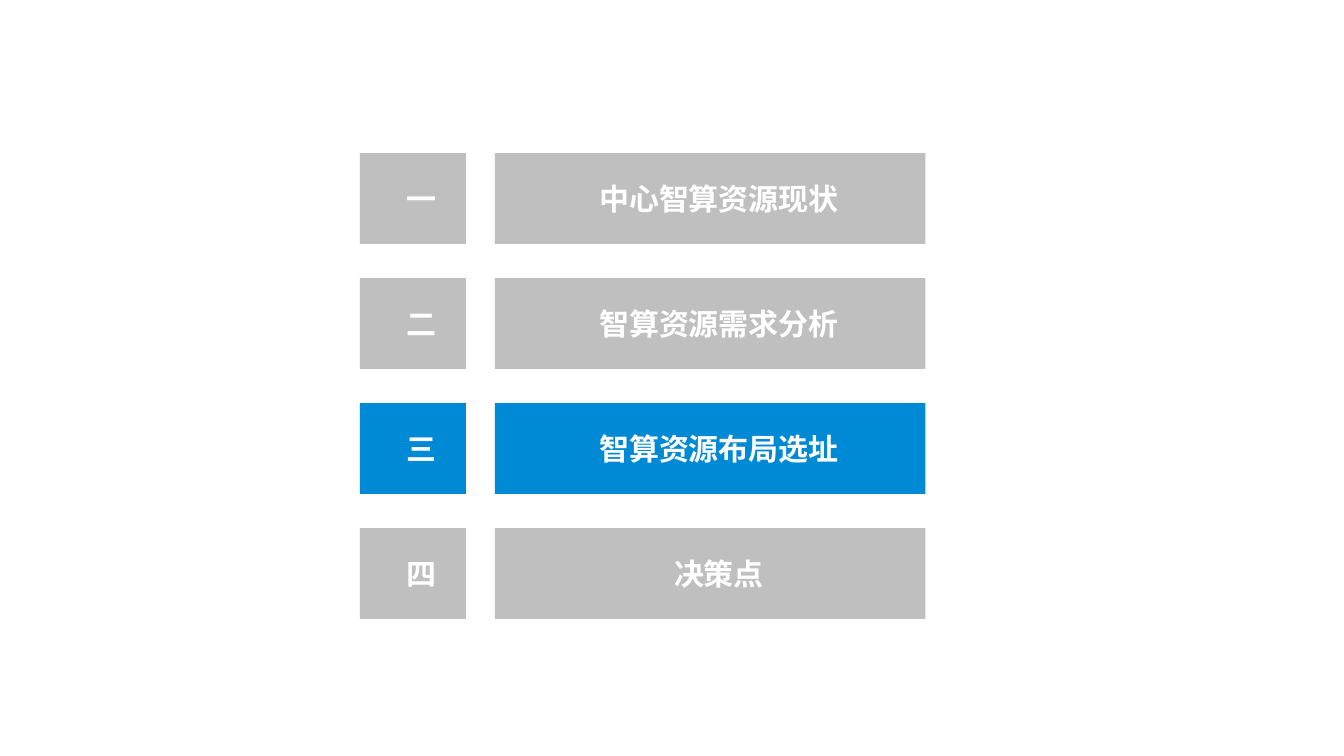
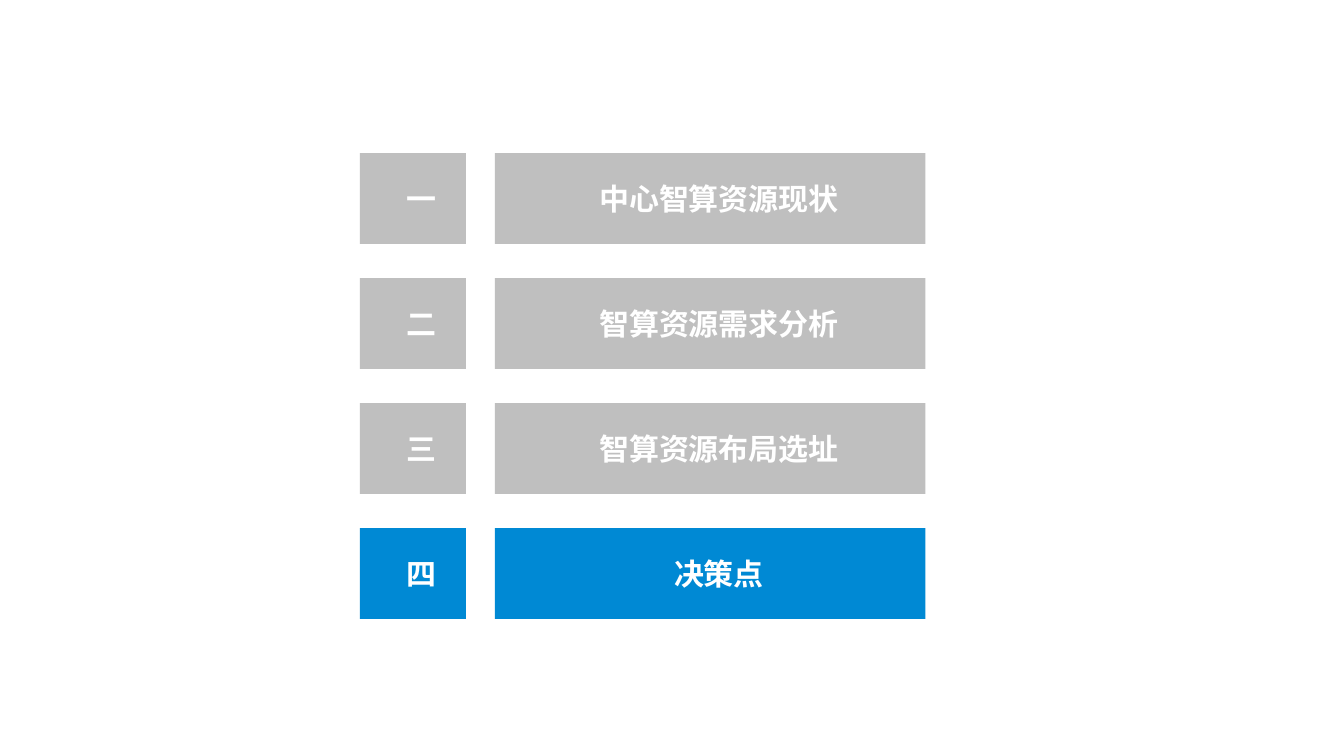
from lxml.etree import SubElement
from pptx import Presentation
from pptx.dml.color import RGBColor
from pptx.enum.shapes import MSO_SHAPE
from pptx.enum.text import MSO_ANCHOR, PP_ALIGN
from pptx.oxml.ns import qn
from pptx.util import Inches, Pt

CHAPTERS = [
    ("一", "中心智算资源现状"),
    ("二", "智算资源需求分析"),
    ("三", "智算资源布局选址"),
    ("四", "决策点"),
]
ACTIVE_CHAPTERS = ["三", "四"]  # one agenda slide for each

COLORS = {"active": "0089D4", "idle": "BFBFBF", "text": "FFFFFF"}
FONT, FONT_SIZE = "Noto Sans CJK SC", 21.4

TOP, ROW_STEP, BOX_HEIGHT = 1.52, 1.24, 0.9
COLUMNS = [(3.57, 1.05), (4.91, 4.27)]  # left and width: number, title


def add_box(s, left, top, width, text, fill):
    box = s.shapes.add_shape(MSO_SHAPE.RECTANGLE, Inches(left), Inches(top),
                             Inches(width), Inches(BOX_HEIGHT))
    box.shadow.inherit = False
    box.fill.solid()
    box.fill.fore_color.rgb = RGBColor.from_string(COLORS[fill])
    box.line.fill.background()

    tf = box.text_frame
    tf.word_wrap = True
    tf.vertical_anchor = MSO_ANCHOR.MIDDLE
    tf.margin_left, tf.margin_right = Inches(0.27), Inches(0.1)
    tf.margin_top = tf.margin_bottom = Inches(0.05)
    tf.text = text
    p = tf.paragraphs[0]
    p.alignment = PP_ALIGN.CENTER
    r = p.runs[0]
    r.font.size = Pt(FONT_SIZE)
    r.font.bold = True
    r.font.color.rgb = RGBColor.from_string(COLORS["text"])
    r.font.name = FONT
    # Chinese text takes the East Asian typeface
    SubElement(r.font._element, qn("a:ea"), typeface=FONT)


def add_agenda(prs, active):
    s = prs.slides.add_slide(prs.slide_layouts[6])
    for row, chapter in enumerate(CHAPTERS):
        fill = "active" if chapter[0] == active else "idle"
        for (left, width), text in zip(COLUMNS, chapter):
            add_box(s, left, TOP + row * ROW_STEP, width, text, fill)


def main():
    prs = Presentation()
    prs.slide_width, prs.slide_height = Inches(13.33), Inches(7.5)
    for active in ACTIVE_CHAPTERS:
        add_agenda(prs, active)
    prs.save("out.pptx")


if __name__ == "__main__":
    main()
